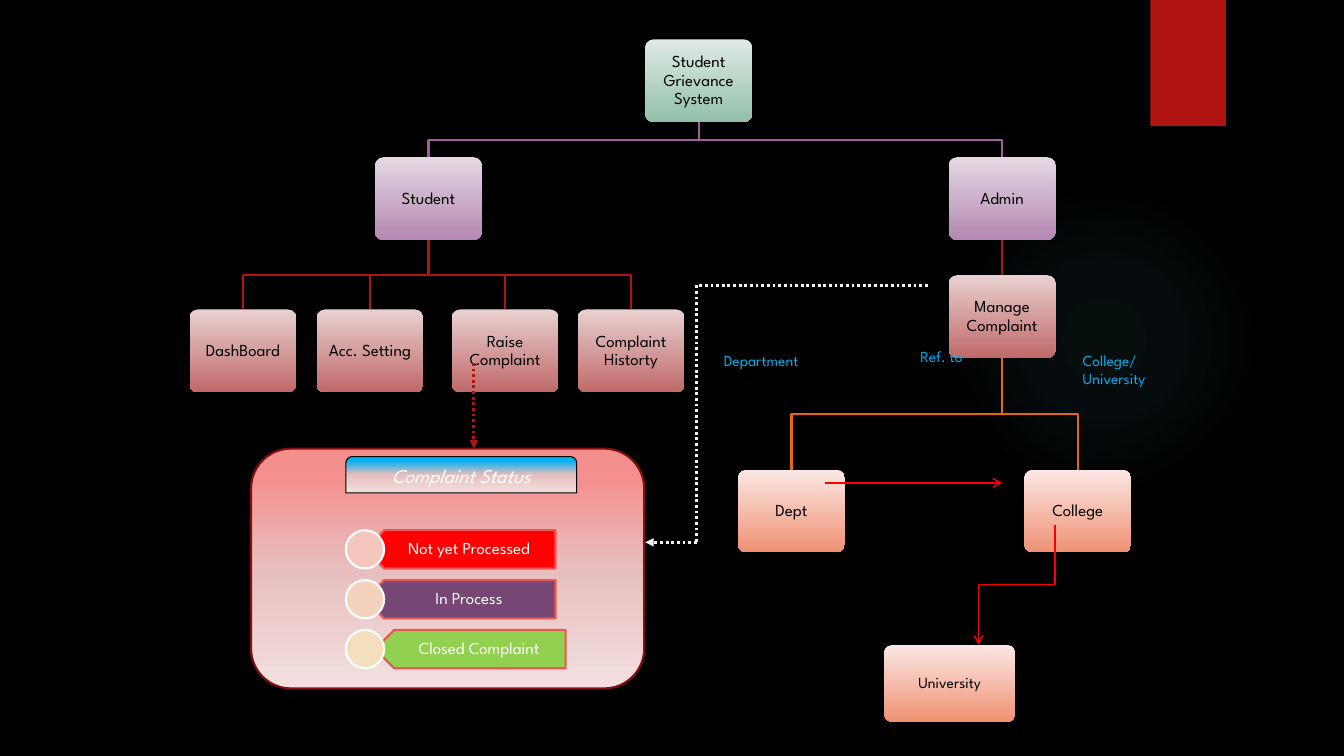
"""Build the structure chart of a student grievance system."""
from pptx import Presentation
from pptx.dml.color import RGBColor
from pptx.enum.dml import MSO_LINE
from pptx.enum.shapes import MSO_CONNECTOR, MSO_SHAPE
from pptx.enum.text import MSO_ANCHOR, PP_ALIGN
from pptx.oxml import parse_xml
from pptx.oxml.ns import nsdecls, qn
from pptx.util import Inches, Pt

ROUNDED, ELLIPSE, RECTANGLE = MSO_SHAPE.ROUNDED_RECTANGLE, MSO_SHAPE.OVAL, MSO_SHAPE.RECTANGLE
PANEL, TITLE_BAR = MSO_SHAPE.FLOWCHART_ALTERNATE_PROCESS, MSO_SHAPE.ROUND_2_SAME_RECTANGLE
PLATE = MSO_SHAPE.PENTAGON
STRAIGHT, ELBOW = MSO_CONNECTOR.STRAIGHT, MSO_CONNECTOR.ELBOW
DOTTED = MSO_LINE.ROUND_DOT
CENTER, LEFT = PP_ALIGN.CENTER, PP_ALIGN.LEFT
MIDDLE, TOP = MSO_ANCHOR.MIDDLE, MSO_ANCHOR.TOP

FONT = "League Spartan"
COLORS = {
    "black": "000000", "white": "FFFFFF", "banner": "B01513", "glow": "50B9C1",
    "purple": "9E5E9B", "crimson": "B01513", "orange": "EA6312", "red": "FF0000",
    "sky": "00B0F0", "dots": "F3F3F3", "panel edge": "82100E", "plate edge": "ED5654",
    "violet": "764674", "green": "92D050",
    "rose dot": "F5C6BD", "peach dot": "F4D2BD", "sand dot": "F3DFBE",
}
GRADIENTS = {
    "root": [(0, "DEEAE4"), (100, "93C0AC")],
    "role": [(0, "E4D8E3"), (100, "B488B2")],
    "task": [(0, "E8D1D0"), (100, "C06969")],
    "office": [(0, "FBE8E4"), (100, "EF9173")],
    "panel": [(11, "F38F8D"), (50, "E8BEBE"), (100, "F3DFDF")],
    "title": [(11, "00B0F0"), (50, "E8BEBE"), (100, "F3DFDF")],
}
NODE_W, NODE_H = 1.06, 0.82
NODES = {
    "Student Grievance System": ("root", 6.4, 0.39),
    "Student": ("role", 3.72, 1.56),
    "Admin": ("role", 9.41, 1.56),
    "DashBoard": ("task", 1.88, 3.07),
    "Acc. Setting": ("task", 3.14, 3.07),
    "Raise Complaint": ("task", 4.48, 3.07),
    "Complaint Historty": ("task", 5.73, 3.07),
    "Manage Complaint": ("task", 9.41, 2.73),
    "Dept": ("office", 7.32, 4.66),
    "College": ("office", 10.16, 4.66),
}
BRANCHES = [
    ("Student Grievance System", "purple", ["Student", "Admin"]),
    ("Student", "crimson", ["DashBoard", "Acc. Setting", "Raise Complaint", "Complaint Historty"]),
    ("Admin", "crimson", ["Manage Complaint"]),
    ("Manage Complaint", "orange", ["Dept", "College"]),
]
LABELS = [
    ("Ref. to", 9.03, 3.39, 1.02, 0.29),
    ("Department", 7.08, 3.43, 1.19, 0.29),
    ("College/\nUniversity", 10.64, 3.43, 0.85, 0.48),
]
STATUSES = [
    ("Not yet Processed", "red", "rose dot", 3.62),
    ("In Process", "violet", "peach dot", 3.62),
    ("Closed Complaint", "green", "sand dot", 3.72),
]
STATUS_TOP, STATUS_STEP, STATUS_H = 5.26, 0.495, 0.38
DOTTED_LINES = [
    ((4.7, 3.6), (4.7, 4.45), "crimson", "triangle"),
    ((9.2, 2.83), (6.91, 2.83), "dots", None),
    ((6.91, 2.83), (6.91, 5.38), "dots", None),
    ((6.91, 5.38), (6.4, 5.38), "dots", "triangle"),
]


def rgb(name):
    return RGBColor.from_string(COLORS[name])


def set_gradient(shape, stops, direction='<a:lin ang="5400000" scaled="0"/>'):
    shape.fill.solid()
    properties = shape._element.spPr
    marks = "".join(
        f'<a:gs pos="{stop[0] * 1000}"><a:srgbClr val="{stop[1]}">'
        + "".join(f'<a:alpha val="{alpha * 1000}"/>' for alpha in stop[2:])
        + "</a:srgbClr></a:gs>" for stop in stops)
    gradient = parse_xml(f'<a:gradFill {nsdecls("a")} rotWithShape="1">'
                         f"<a:gsLst>{marks}</a:gsLst>{direction}</a:gradFill>")
    properties.replace(properties.find(qn("a:solidFill")), gradient)


def add_block(shapes, kind, box, fill, edge=None, weight=1.5):
    block = shapes.add_shape(kind, *map(Inches, box))
    block.shadow.inherit = False
    if fill in GRADIENTS:
        set_gradient(block, GRADIENTS[fill])
    else:
        block.fill.solid()
        block.fill.fore_color.rgb = rgb(fill)
    if edge:
        block.line.color.rgb = rgb(edge)
        block.line.width = Pt(weight)
    else:
        block.line.fill.background()
    return block


def write(holder, text, color, size=12, insets=(0.07, 0.07, 0.07, 0.07),
          align=CENTER, anchor=MIDDLE, spacing=0.9, italic=False):
    frame = holder.text_frame
    frame.text = text
    sides = dict(zip(("margin_left", "margin_top", "margin_right", "margin_bottom"),
                     map(Inches, insets)))
    for name, value in {"word_wrap": True, "vertical_anchor": anchor, **sides}.items():
        setattr(frame, name, value)
    for paragraph in frame.paragraphs:
        paragraph.alignment = align
        paragraph.line_spacing = spacing
        for name, value in {"name": FONT, "size": Pt(size), "italic": italic}.items():
            setattr(paragraph.font, name, value)
        paragraph.font.color.rgb = rgb(color)


def add_line(shapes, start, end, color, weight, kind=STRAIGHT, head=None, dash=None):
    connector = shapes.add_connector(kind, *map(Inches, start + end))
    connector.line.color.rgb = rgb(color)
    connector.line.width = Pt(weight)
    if dash:
        connector.line.dash_style = dash
    if head:
        connector.line._get_or_add_ln().append(
            parse_xml(f'<a:tailEnd {nsdecls("a")} type="{head}"/>'))
    connector._element.spPr.append(parse_xml(f'<a:effectLst {nsdecls("a")}/>'))
    return connector


def add_branch(shapes, parent, child, color):
    _, parent_x, parent_y = NODES[parent]
    _, child_x, bottom = NODES[child]
    start_x, end_x, top = parent_x + NODE_W / 2, child_x + NODE_W / 2, parent_y + NODE_H
    if start_x == end_x:
        add_line(shapes, (start_x, top), (end_x, bottom), color, 1.5)
        return
    middle = (top + bottom) / 2
    builder = shapes.build_freeform(Inches(start_x), Inches(top))
    turns = [(start_x, middle), (end_x, middle), (end_x, bottom)]
    builder.add_line_segments([(Inches(x), Inches(y)) for x, y in turns], close=False)
    branch = builder.convert_to_shape()
    branch.shadow.inherit = False
    branch.fill.background()
    branch.line.color.rgb = rgb(color)
    branch.line.width = Pt(1.5)


def add_node(shapes, text, fill, box, size=12):
    node = add_block(shapes, ROUNDED, box, fill)
    node.adjustments[0] = 0.1
    write(node, text, "black", size)


def main():
    deck = Presentation()
    deck.slide_width, deck.slide_height = Inches(13.33), Inches(7.5)
    slide = deck.slides.add_slide(deck.slide_layouts[6])
    slide.background.fill.solid()
    slide.background.fill.fore_color.rgb = rgb("black")
    shapes = slide.shapes

    glow = add_block(shapes, ELLIPSE, (9.41, 1.83, 3.08, 3.08), "glow")
    set_gradient(glow, [(pos, COLORS["glow"], alpha) for pos, alpha in ((0, 7), (36, 6), (69, 0))],
                 '<a:path path="circle"><a:fillToRect l="50000" t="50000" r="50000" b="50000"/></a:path>')
    add_block(shapes, RECTANGLE, (11.41, 0, 0.75, 1.25), "banner")

    for parent, color, children in BRANCHES:
        for child in children:
            add_branch(shapes, parent, child, color)
    for text, (fill, x, y) in NODES.items():
        add_node(shapes, text, fill, (x, y, NODE_W, NODE_H))
    for text, *box in LABELS:
        label = shapes.add_textbox(*map(Inches, box))
        write(label, text, "sky", 11, (0.1, 0.05, 0.1, 0.05), LEFT, TOP, 1.0)

    add_line(shapes, (8.18, 4.79), (9.94, 4.79), "red", 1, head="arrow")
    referral = add_line(shapes, (9.49, 5.42), (10.68, 6.18), "red", 1, ELBOW, "arrow")
    referral._element.spPr.xfrm.set("rot", "5400000")
    add_node(shapes, "University", "office", (8.77, 6.4, 1.3, 0.76), 11)

    add_block(shapes, PANEL, (2.49, 4.45, 3.9, 2.38), "panel", "panel edge")
    title = add_block(shapes, TITLE_BAR, (3.43, 4.53, 2.29, 0.36), "title", "black", 0.75)
    title.adjustments[0] = 0.17
    write(title, "Complaint Status", "white", 14, (0.1, 0.05, 0.1, 0.05), spacing=1.0, italic=True)
    for row, (text, fill, dot, x) in enumerate(STATUSES):
        y = STATUS_TOP + row * STATUS_STEP
        plate = add_block(shapes, PLATE, (x, y, 1.89, STATUS_H), fill, "plate edge")
        plate._element.spPr.xfrm.set("flipH", "1")
        write(plate, text, "white", insets=(0.17, 0.05, 0.09, 0.05))
        add_block(shapes, ELLIPSE, (3.43, y, STATUS_H, STATUS_H), dot, "white")

    for start, end, color, head in DOTTED_LINES:
        add_line(shapes, start, end, color, 2, head=head, dash=DOTTED)
    deck.save("out.pptx")


if __name__ == "__main__":
    main()
